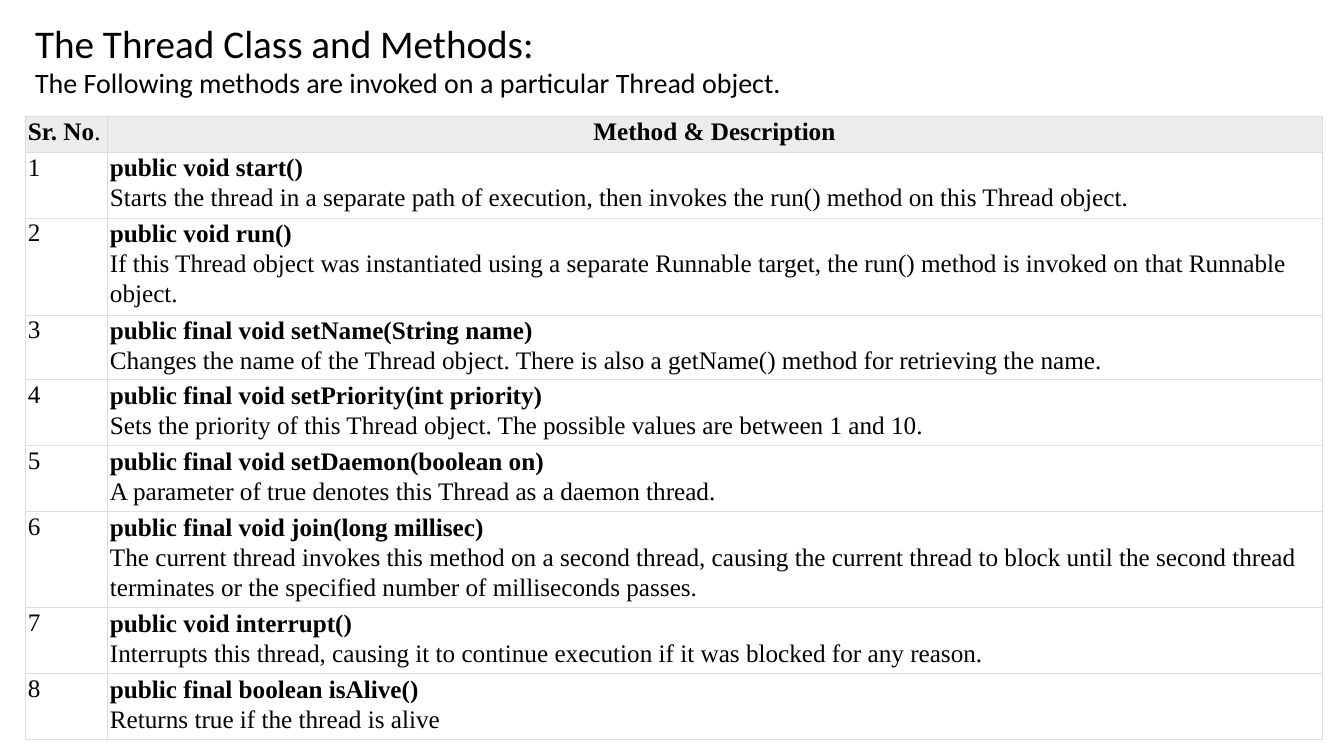
import pptx
import pptx.util
import pptx.dml.color
import pptx.enum.text
import pptx.oxml
import pptx.oxml.ns

PX = 914400 / 100.8
BLACK = pptx.dml.color.RGBColor(0x00, 0x00, 0x00)
HEADER_GREY = pptx.dml.color.RGBColor(0xEC, 0xEC, 0xEC)
BORDER_GREY = pptx.dml.color.RGBColor(0xDD, 0xDD, 0xDD)
LEFT = pptx.enum.text.PP_ALIGN.LEFT
CENTER = pptx.enum.text.PP_ALIGN.CENTER
HEADING = "Calibri"
BODY = "Times New Roman"


def px(n):
    return pptx.util.Emu(round(n * PX))


def write(p, text, *, size=18, font=BODY, bold=False, align=LEFT, spacing=21.4):
    p.alignment = align
    p.line_spacing = pptx.util.Pt(spacing)
    p.space_before = pptx.util.Pt(0)
    r = p.add_run()
    r.text = text
    r.font.size = pptx.util.Pt(size)
    r.font.name = font
    r.font.bold = bold
    r.font.color.rgb = BLACK


prs = pptx.Presentation()
prs.slide_width, prs.slide_height = px(1344), px(756)
s = prs.slides.add_slide(prs.slide_layouts[5])

# Title with its subtitle line
title = s.shapes.title
title.left, title.top, title.width, title.height = px(35), px(17), px(798), px(83)
tf = title.text_frame
tf.margin_left = tf.margin_right = tf.margin_bottom = 0
tf.margin_top = px(2)
tf.word_wrap = True
tf.auto_size = pptx.enum.text.MSO_AUTO_SIZE.NONE
tf.vertical_anchor = pptx.enum.text.MSO_ANCHOR.MIDDLE
write(tf.paragraphs[0], "The Thread Class and Methods:",
      size=28, font=HEADING, spacing=33.4)
write(tf.add_paragraph(),
      "The Following methods are invoked on a particular Thread object.",
      size=20, font=HEADING, spacing=23.8)

# Table of methods
METHODS = [
    ("public void start()",
     "Starts the thread in a separate path of execution, then invokes the run() "
     "method on this Thread object."),
    ("public void run()",
     "If this Thread object was instantiated using a separate Runnable target, "
     "the run() method is invoked on that Runnable object."),
    ("public final void setName(String name)",
     "Changes the name of the Thread object. There is also a getName() method "
     "for retrieving the name."),
    ("public final void setPriority(int priority)",
     "Sets the priority of this Thread object. The possible values are between "
     "1 and 10."),
    ("public final void setDaemon(boolean on)",
     "A parameter of true denotes this Thread as a daemon thread."),
    ("public final void join(long millisec)",
     "The current thread invokes this method on a second thread, causing the "
     "current thread to block until the second thread terminates or the "
     "specified number of milliseconds passes."),
    ("public void interrupt()",
     "Interrupts this thread, causing it to continue execution if it was blocked "
     "for any reason."),
    ("public final boolean isAlive()",
     "Returns true if the thread is alive"),
]
ROW_HEIGHTS = [36, 66, 97, 65, 66, 66, 96, 66, 66]
COLUMN_WIDTHS = [82, 1215]

table = s.shapes.add_table(
    len(ROW_HEIGHTS), len(COLUMN_WIDTHS), px(25), px(116),
    px(sum(COLUMN_WIDTHS)), px(sum(ROW_HEIGHTS))).table
table.first_row = True
table.horz_banding = False
for column, width in zip(table.columns, COLUMN_WIDTHS):
    column.width = px(width)
for row, height in zip(table.rows, ROW_HEIGHTS):
    row.height = px(height)

for i, row in enumerate(table.rows):
    for cell in row.cells:
        cell.margin_left = px(3)
        cell.margin_right = cell.margin_top = cell.margin_bottom = 0
        if i == 0:
            cell.fill.solid()
            cell.fill.fore_color.rgb = HEADER_GREY
        else:
            cell.fill.background()
        tcPr = cell._tc.get_or_add_tcPr()
        for k, side in enumerate(("lnL", "lnR", "lnT", "lnB")):
            tcPr.insert(k, pptx.oxml.parse_xml(
                f'<a:{side} {pptx.oxml.ns.nsdecls("a")} w="9525"><a:solidFill>'
                f'<a:srgbClr val="{BORDER_GREY}"/></a:solidFill></a:{side}>'))

number_head, method_head = table.rows[0].cells
p = number_head.text_frame.paragraphs[0]
write(p, "Sr. No", bold=True, spacing=21)
write(p, ".", spacing=21)
method_head.margin_left = 0
write(method_head.text_frame.paragraphs[0], "Method & Description",
      bold=True, align=CENTER, spacing=21.5)

for i, (signature, description) in enumerate(METHODS, start=1):
    write(table.cell(i, 0).text_frame.paragraphs[0], str(i), spacing=21)
    tf = table.cell(i, 1).text_frame
    write(tf.paragraphs[0], signature, bold=True, spacing=21.2)
    write(tf.add_paragraph(), description)

prs.save("out.pptx")
